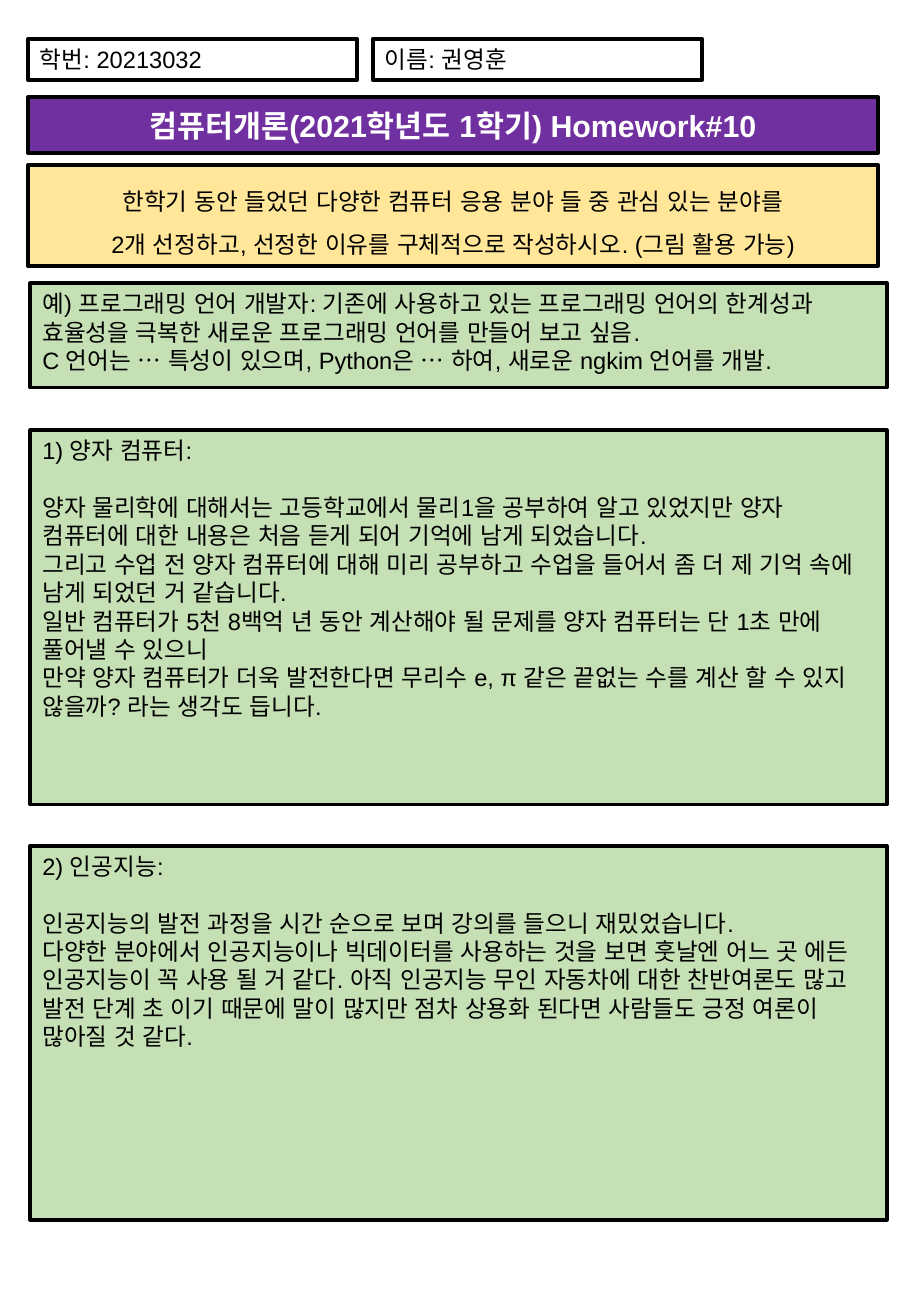
"""Build the one-page homework sheet for the introductory computing course."""
from dataclasses import dataclass
from typing import Optional

from pptx import Presentation
from pptx.dml.color import RGBColor
from pptx.enum.lang import MSO_LANGUAGE_ID
from pptx.enum.shapes import MSO_SHAPE
from pptx.enum.text import MSO_ANCHOR, MSO_AUTO_SIZE, PP_ALIGN
from pptx.util import Inches, Pt

BLACK = RGBColor(0x00, 0x00, 0x00)
WHITE = RGBColor(0xFF, 0xFF, 0xFF)
PURPLE = RGBColor(0x70, 0x30, 0xA0)
YELLOW = RGBColor(0xFF, 0xE6, 0x99)
GREEN = RGBColor(0xC5, 0xE0, 0xB4)

HEADER_LEFT, HEADER_WIDTH = 0.23, 7.0
FIELD_TOP, FIELD_WIDTH, FIELD_HEIGHT, FIELD_STEP = 0.32, 2.71, 0.34, 2.84
BODY_LEFT, BODY_WIDTH = 0.25, 7.05
ANSWER_TOP, ANSWER_HEIGHT, ANSWER_STEP = 3.54, 3.08, 3.42


@dataclass(frozen=True)
class Panel:
    left: float
    top: float
    width: float
    height: float
    paragraphs: tuple[str, ...]
    fill: Optional[RGBColor] = None
    color: RGBColor = BLACK
    size: int = 14
    bold: bool = False
    centered: bool = False
    line_spacing: float = 1.0
    heading_gap: float = 0
    grows: bool = False


FIELDS = ("학번: 20213032", "이름: 권영훈")

TITLE = Panel(HEADER_LEFT, 0.8, HEADER_WIDTH, 0.46,
              ("컴퓨터개론(2021학년도 1학기) Homework#10",),
              PURPLE, WHITE, size=18, bold=True, centered=True)

ASSIGNMENT = Panel(
    HEADER_LEFT, 1.36, HEADER_WIDTH, 0.83,
    ("한학기 동안 들었던 다양한 컴퓨터 응용 분야 들 중 관심 있는 분야를",
     "2개 선정하고, 선정한 이유를 구체적으로 작성하시오. (그림 활용 가능)"),
    YELLOW, centered=True, line_spacing=1.5)

EXAMPLE = Panel(
    BODY_LEFT, 2.33, BODY_WIDTH, 0.86,
    ("예) 프로그래밍 언어 개발자: 기존에 사용하고 있는 프로그래밍 언어의 한계성과 "
     "효율성을 극복한 새로운 프로그래밍 언어를 만들어 보고 싶음.",
     "C 언어는 … 특성이 있으며, Python은 … 하여, 새로운 ngkim 언어를 개발."),
    GREEN)

ANSWERS = (
    ("1) 양자 컴퓨터:",
     "양자 물리학에 대해서는 고등학교에서 물리1을 공부하여 알고 있었지만 양자 "
     "컴퓨터에 대한 내용은 처음 듣게 되어 기억에 남게 되었습니다.",
     "그리고 수업 전 양자 컴퓨터에 대해 미리 공부하고 수업을 들어서 좀 더 제 기억 속에 "
     "남게 되었던 거 같습니다.",
     "일반 컴퓨터가 5천 8백억 년 동안 계산해야 될 문제를 양자 컴퓨터는 단 1초 만에 "
     "풀어낼 수 있으니",
     "만약 양자 컴퓨터가 더욱 발전한다면 무리수 e, π 같은 끝없는 수를 계산 할 수 있지 "
     "않을까? 라는 생각도 듭니다."),
    ("2) 인공지능:",
     "인공지능의 발전 과정을 시간 순으로 보며 강의를 들으니 재밌었습니다.",
     "다양한 분야에서 인공지능이나 빅데이터를 사용하는 것을 보면 훗날엔 어느 곳 에든 "
     "인공지능이 꼭 사용 될 거 같다. 아직 인공지능 무인 자동차에 대한 찬반여론도 많고 "
     "발전 단계 초 이기 때문에 말이 많지만 점차 상용화 된다면 사람들도 긍정 여론이 "
     "많아질 것 같다."),
)


def format_panel(shape, panel: Panel) -> None:
    shape.left, shape.top = Inches(panel.left), Inches(panel.top)
    shape.width, shape.height = Inches(panel.width), Inches(panel.height)
    shape.shadow.inherit = False
    if panel.fill is None:
        shape.fill.background()
    else:
        shape.fill.solid()
        shape.fill.fore_color.rgb = panel.fill
    shape.line.color.rgb = BLACK
    shape.line.width = Pt(2.25)

    frame = shape.text_frame
    frame.word_wrap = True
    frame.auto_size = MSO_AUTO_SIZE.SHAPE_TO_FIT_TEXT if panel.grows else MSO_AUTO_SIZE.NONE
    frame.vertical_anchor = MSO_ANCHOR.MIDDLE if panel.centered else MSO_ANCHOR.TOP
    for index, text in enumerate(panel.paragraphs):
        paragraph = frame.add_paragraph() if index else frame.paragraphs[0]
        paragraph.alignment = PP_ALIGN.CENTER if panel.centered else PP_ALIGN.LEFT
        paragraph.line_spacing = panel.line_spacing
        if index == 0 and panel.heading_gap:
            paragraph.space_after = Pt(panel.heading_gap)
        run = paragraph.add_run()
        run.text = text
        run.font.name = "Arial"
        run.font.size = Pt(panel.size)
        run.font.bold = panel.bold
        run.font.color.rgb = panel.color
        run.font.language_id = MSO_LANGUAGE_ID.KOREAN


def add_panel(slide, panel: Panel) -> None:
    shape = slide.shapes.add_shape(
        MSO_SHAPE.RECTANGLE, Inches(panel.left), Inches(panel.top),
        Inches(panel.width), Inches(panel.height))
    format_panel(shape, panel)


def main() -> None:
    homework = Presentation()
    homework.slide_width, homework.slide_height = Inches(7.5), Inches(10.83)
    sheet = homework.slides.add_slide(homework.slide_layouts[5])
    format_panel(sheet.shapes.title, TITLE)
    for column, field in enumerate(FIELDS):
        add_panel(sheet, Panel(HEADER_LEFT + column * FIELD_STEP, FIELD_TOP,
                               FIELD_WIDTH, FIELD_HEIGHT, (field,), grows=True))
    add_panel(sheet, ASSIGNMENT)
    add_panel(sheet, EXAMPLE)
    for row, answer in enumerate(ANSWERS):
        add_panel(sheet, Panel(BODY_LEFT, ANSWER_TOP + row * ANSWER_STEP, BODY_WIDTH,
                               ANSWER_HEIGHT, answer, GREEN, heading_gap=16.8))
    homework.save("out.pptx")


if __name__ == "__main__":
    main()
